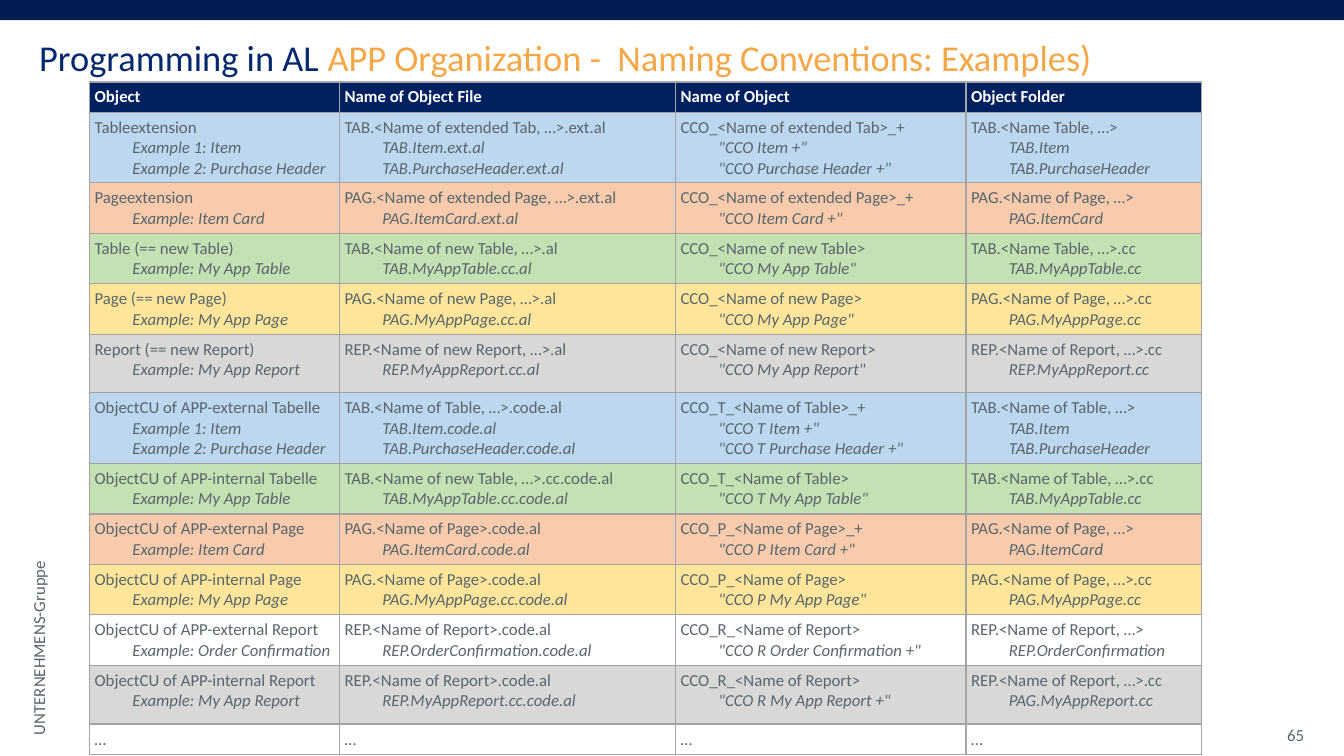
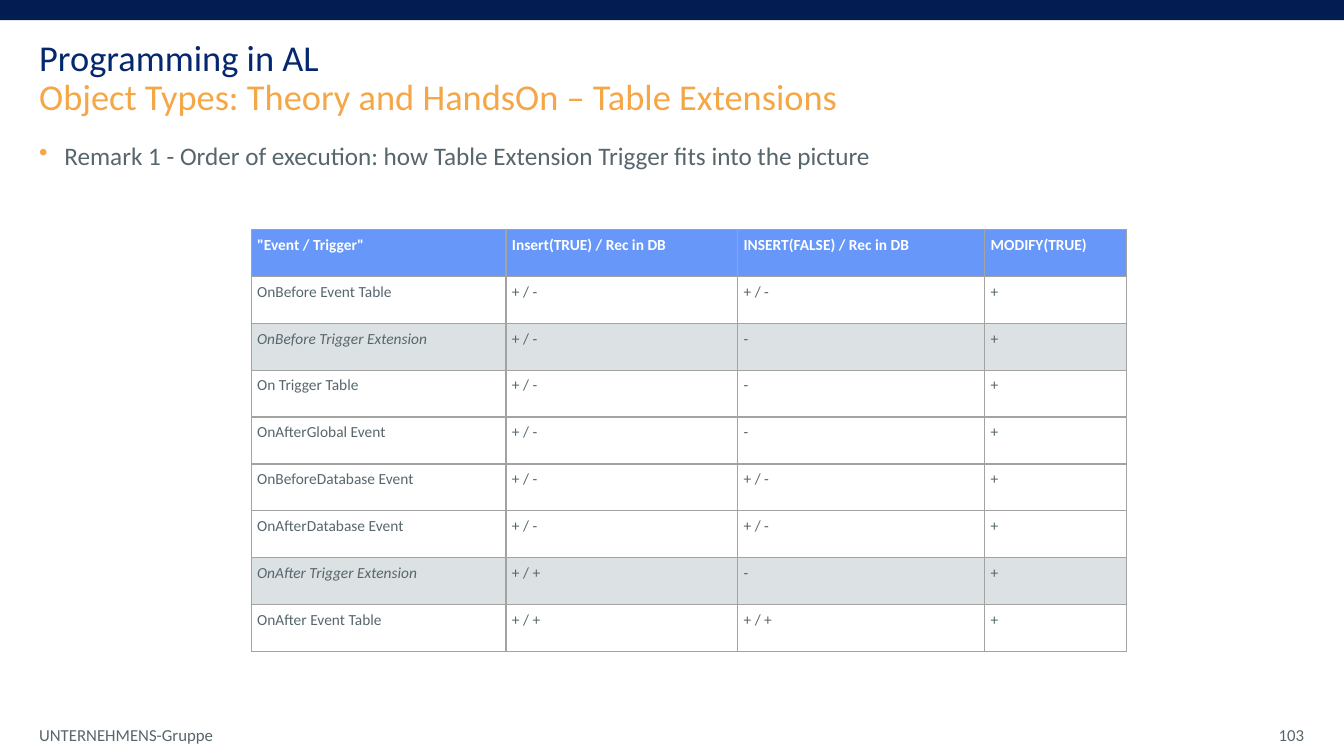
from dataclasses import dataclass

from lxml.etree import SubElement
from pptx import Presentation
from pptx.dml.color import RGBColor
from pptx.enum.shapes import MSO_SHAPE
from pptx.enum.text import MSO_ANCHOR, PP_ALIGN
from pptx.oxml.ns import qn
from pptx.util import Pt


@dataclass(frozen=True)
class Theme:
    font: str = "Calibri"
    band: str = "031D52"
    navy: str = "04276E"
    orange: str = "F5A748"
    text: str = "57666D"
    white: str = "FFFFFF"
    border: str = "A3A3A3"
    naming_header: str = "002060"
    trigger_header: str = "6697F9"
    blue: str = "BDD7EE"
    peach: str = "F7CBAC"
    green: str = "C5E0B3"
    yellow: str = "FEE599"
    gray: str = "D8D8D8"
    pale: str = "DCE1E3"
    title_size: int = 26
    body_size: int = 18
    small_size: int = 12
    trigger_size: int = 11


@dataclass(frozen=True)
class Box:
    left: float
    top: float
    width: float
    height: float

    def lengths(self):
        return Pt(self.left), Pt(self.top), Pt(self.width), Pt(self.height)


THEME = Theme()
PAGE = Box(0, 0, 960, 540)
MARGIN = 28
FOOTER = Box(MARGIN, 510.5, 903.5, 29)
TITLE = Box(MARGIN, 28.5, 903, 57)
COMPANY = "UNTERNEHMENS-Gruppe"

NAMING_COLUMNS = [178.5, 240, 207.5, 168]
NAMING_HEADER = ["Object", "Name of Object File", "Name of Object", "Object Folder"]
NAMING_ROWS = [
    (46, THEME.blue, [
        "Tableextension\nExample 1: Item\nExample 2: Purchase Header",
        "TAB.<Name of extended Tab, …>.ext.al\nTAB.Item.ext.al\nTAB.PurchaseHeader.ext.al",
        'CCO_<Name of extended Tab>_+\n"CCO Item +"\n"CCO Purchase Header +"',
        "TAB.<Name Table, …>\nTAB.Item\nTAB.PurchaseHeader"]),
    (33, THEME.peach, [
        "Pageextension\nExample: Item Card",
        "PAG.<Name of extended Page, …>.ext.al\nPAG.ItemCard.ext.al",
        'CCO_<Name of extended Page>_+\n"CCO Item Card +"',
        "PAG.<Name of Page, …>\nPAG.ItemCard"]),
    (33, THEME.green, [
        "Table (== new Table)\nExample: My App Table",
        "TAB.<Name of new Table, …>.al\nTAB.MyAppTable.cc.al",
        'CCO_<Name of new Table>\n"CCO My App Table"',
        "TAB.<Name Table, …>.cc\nTAB.MyAppTable.cc"]),
    (33, THEME.yellow, [
        "Page (== new Page)\nExample: My App Page",
        "PAG.<Name of new Page, …>.al\nPAG.MyAppPage.cc.al",
        'CCO_<Name of new Page>\n"CCO My App Page"',
        "PAG.<Name of Page, …>.cc\nPAG.MyAppPage.cc"]),
    (42, THEME.gray, [
        "Report (== new Report)\nExample: My App Report",
        "REP.<Name of new Report, …>.al\nREP.MyAppReport.cc.al",
        'CCO_<Name of new Report>\n"CCO My App Report"',
        "REP.<Name of Report, …>.cc\nREP.MyAppReport.cc"]),
    (46, THEME.blue, [
        "ObjectCU of APP-external Tabelle\nExample 1: Item\nExample 2: Purchase Header",
        "TAB.<Name of Table, …>.code.al\nTAB.Item.code.al\nTAB.PurchaseHeader.code.al",
        'CCO_T_<Name of Table>_+\n"CCO T Item +"\n"CCO T Purchase Header +"',
        "TAB.<Name of Table, …>\nTAB.Item\nTAB.PurchaseHeader"]),
    (33, THEME.green, [
        "ObjectCU of APP-internal Tabelle\nExample: My App Table",
        "TAB.<Name of new Table, …>.cc.code.al\nTAB.MyAppTable.cc.code.al",
        'CCO_T_<Name of Table>\n"CCO T My App Table"',
        "TAB.<Name of Table, …>.cc\nTAB.MyAppTable.cc"]),
    (33, THEME.peach, [
        "ObjectCU of APP-external Page\nExample: Item Card",
        "PAG.<Name of Page>.code.al\nPAG.ItemCard.code.al",
        'CCO_P_<Name of Page>_+\n"CCO P Item Card +"',
        "PAG.<Name of Page, …>\nPAG.ItemCard"]),
    (33, THEME.yellow, [
        "ObjectCU of APP-internal Page\nExample: My App Page",
        "PAG.<Name of Page>.code.al\nPAG.MyAppPage.cc.code.al",
        'CCO_P_<Name of Page>\n"CCO P My App Page"',
        "PAG.<Name of Page, …>.cc\nPAG.MyAppPage.cc"]),
    (33, None, [
        "ObjectCU of APP-external Report\nExample: Order Confirmation",
        "REP.<Name of Report>.code.al\nREP.OrderConfirmation.code.al",
        'CCO_R_<Name of Report>\n"CCO R Order Confirmation +"',
        "REP.<Name of Report, …>\nREP.OrderConfirmation"]),
    (42, THEME.gray, [
        "ObjectCU of APP-internal Report\nExample: My App Report",
        "REP.<Name of Report>.code.al\nREP.MyAppReport.cc.code.al",
        'CCO_R_<Name of Report>\n"CCO R My App Report +"',
        "REP.<Name of Report, …>.cc\nPAG.MyAppReport.cc"]),
    (20, None, ["…"] * 4),
]

TRIGGER_COLUMNS = [182, 165.5, 176.5, 101]
TRIGGER_ROW_HEIGHT = 33.5
TRIGGER_HEADER = ['"Event / Trigger"', "Insert(TRUE) / Rec in DB",
                  "INSERT(FALSE) / Rec in DB", "MODIFY(TRUE)"]
TRIGGER_ROWS = [
    ["OnBefore Event Table", "+ / -", "+ / -", "+"],
    ["OnBefore Trigger Extension", "+ / -", "-", "+"],
    ["On Trigger Table", "+ / -", "-", "+"],
    ["OnAfterGlobal Event", "+ / -", "-", "+"],
    ["OnBeforeDatabase Event", "+ / -", "+ / -", "+"],
    ["OnAfterDatabase Event", "+ / -", "+ / -", "+"],
    ["OnAfter Trigger Extension", "+ / +", "-", "+"],
    ["OnAfter Event Table", "+ / +", "+ / +", "+"],
]


def rgb(color):
    return RGBColor.from_string(color)


def add_text(frame, text, para=None, size=THEME.small_size, color=THEME.text, bold=False,
             italic=False, align=None, indent=0, hanging=0, bullet=None, line_spacing=None):
    if para is None:
        first = frame.paragraphs[0]
        para = frame.add_paragraph() if first.runs else first
        properties = para._p.get_or_add_pPr()
        if indent:
            properties.set("marL", str(Pt(indent)))
            properties.set("indent", str(-Pt(hanging)))
        if bullet:
            bullet_color = SubElement(properties, qn("a:buClr"))
            SubElement(bullet_color, qn("a:srgbClr"), val=THEME.orange)
            SubElement(properties, qn("a:buChar"), char=bullet)
        if align is not None:
            para.alignment = align
        if line_spacing:
            para.line_spacing = line_spacing
    span = para.add_run()
    span.text = text
    font = span.font
    font.name, font.size, font.bold, font.italic = THEME.font, Pt(size), bold, italic
    font.color.rgb = rgb(color)
    return para


def add_text_box(page, box, anchor=MSO_ANCHOR.TOP, rotation=0):
    shape = page.shapes.add_textbox(*box.lengths())
    shape.rotation = rotation
    frame = shape.text_frame
    frame.word_wrap = True
    frame.vertical_anchor = anchor
    frame.margin_left = frame.margin_right = frame.margin_top = frame.margin_bottom = 0
    return frame


def add_band(page, box):
    band = page.shapes.add_shape(MSO_SHAPE.RECTANGLE, *Box(box.left, box.top, box.width, 14.4).lengths())
    band.shadow.inherit = False
    band.fill.solid()
    band.fill.fore_color.rgb = rgb(THEME.band)
    band.line.fill.background()


def add_title(page, box, lead, topic, stacked):
    frame = add_text_box(page, box)
    para = add_text(frame, lead, size=THEME.title_size, color=THEME.navy, line_spacing=0.9)
    if stacked:
        para.add_line_break()
    add_text(frame, topic, para=para, size=THEME.title_size, color=THEME.orange)


def add_footer(page, box, number, upright):
    company = Box(box.left, box.top, 216, box.height)
    if upright:
        company = Box(box.left - 108.5, box.top - 108, 216, box.height)
    frame = add_text_box(page, company, MSO_ANCHOR.MIDDLE, 270 if upright else 0)
    add_text(frame, COMPANY)
    number_width = 199
    number_box = Box(box.left + box.width - number_width, box.top, number_width, box.height)
    add_text(add_text_box(page, number_box, MSO_ANCHOR.MIDDLE), number, align=PP_ALIGN.RIGHT)


def format_cell(cell, fill, margin):
    cell.margin_left = cell.margin_right = cell.margin_top = cell.margin_bottom = Pt(margin)
    properties = cell._tc.get_or_add_tcPr()
    for side in ("lnL", "lnR", "lnT", "lnB"):
        line = SubElement(properties, qn(f"a:{side}"), w=str(Pt(1)))
        SubElement(SubElement(line, qn("a:solidFill")), qn("a:srgbClr"), val=THEME.border)
    if fill:
        cell.fill.solid()
        cell.fill.fore_color.rgb = rgb(fill)
    else:
        cell.fill.background()


def add_table(page, box, columns, rows, header_fill, size, margin, italic_labels=()):
    table = page.shapes.add_table(len(rows), len(columns), *box.lengths()).table
    table.horz_banding = False
    for column, width in zip(table.columns, columns):
        column.width = Pt(width)
    for row_index, (height, fill, texts) in enumerate(rows):
        table.rows[row_index].height = Pt(height)
        header = row_index == 0
        for column_index, text in enumerate(texts):
            cell = table.cell(row_index, column_index)
            format_cell(cell, header_fill if header else fill, margin)
            for line_index, line in enumerate(text.split("\n")):
                example = line_index > 0
                add_text(cell.text_frame, line, size=size, bold=header,
                         color=THEME.white if header else THEME.text,
                         italic=example or line in italic_labels,
                         indent=27 if example else 0)


def add_page(deck, number, lead, topic, stacked=False, upright=False):
    page = deck.slides.add_slide(deck.slide_layouts[6])
    add_band(page, PAGE)
    add_title(page, TITLE, lead, topic, stacked)
    add_footer(page, FOOTER, number, upright)
    return page


def add_naming_page(deck, box):
    page = add_page(deck, "65", "Programming in AL ",
                    "APP Organization -  Naming Conventions: Examples)", upright=True)
    rows = [(20, None, NAMING_HEADER)] + NAMING_ROWS
    table_box = Box(box.left + 64, box.top + 58.5, sum(NAMING_COLUMNS), sum(row[0] for row in rows))
    add_table(page, table_box, NAMING_COLUMNS, rows, THEME.naming_header, THEME.small_size, 3.6)


def add_trigger_page(deck, box):
    page = add_page(deck, "103", "Programming in AL",
                    "Object Types: Theory and HandsOn – Table Extensions", stacked=True)
    remark = add_text_box(page, Box(box.left + MARGIN, box.top + 100.5, 646, 29))
    add_text(remark, "Remark 1 - Order of execution: how Table Extension Trigger fits into the picture",
             size=THEME.body_size, indent=18, hanging=18, bullet="•")
    labels = [texts[0] for texts in TRIGGER_ROWS if "Trigger Extension" in texts[0]]
    rows = [(TRIGGER_ROW_HEIGHT, THEME.pale if texts[0] in labels else None, texts)
            for texts in [TRIGGER_HEADER] + TRIGGER_ROWS]
    table_box = Box(box.left + 179.5, box.top + 164, sum(TRIGGER_COLUMNS), TRIGGER_ROW_HEIGHT * len(rows))
    add_table(page, table_box, TRIGGER_COLUMNS, rows, THEME.trigger_header, THEME.trigger_size, 4.2, labels)


def main():
    deck = Presentation()
    deck.slide_width, deck.slide_height = Pt(PAGE.width), Pt(PAGE.height)
    add_naming_page(deck, PAGE)
    add_trigger_page(deck, PAGE)
    deck.save("out.pptx")


if __name__ == "__main__":
    main()
